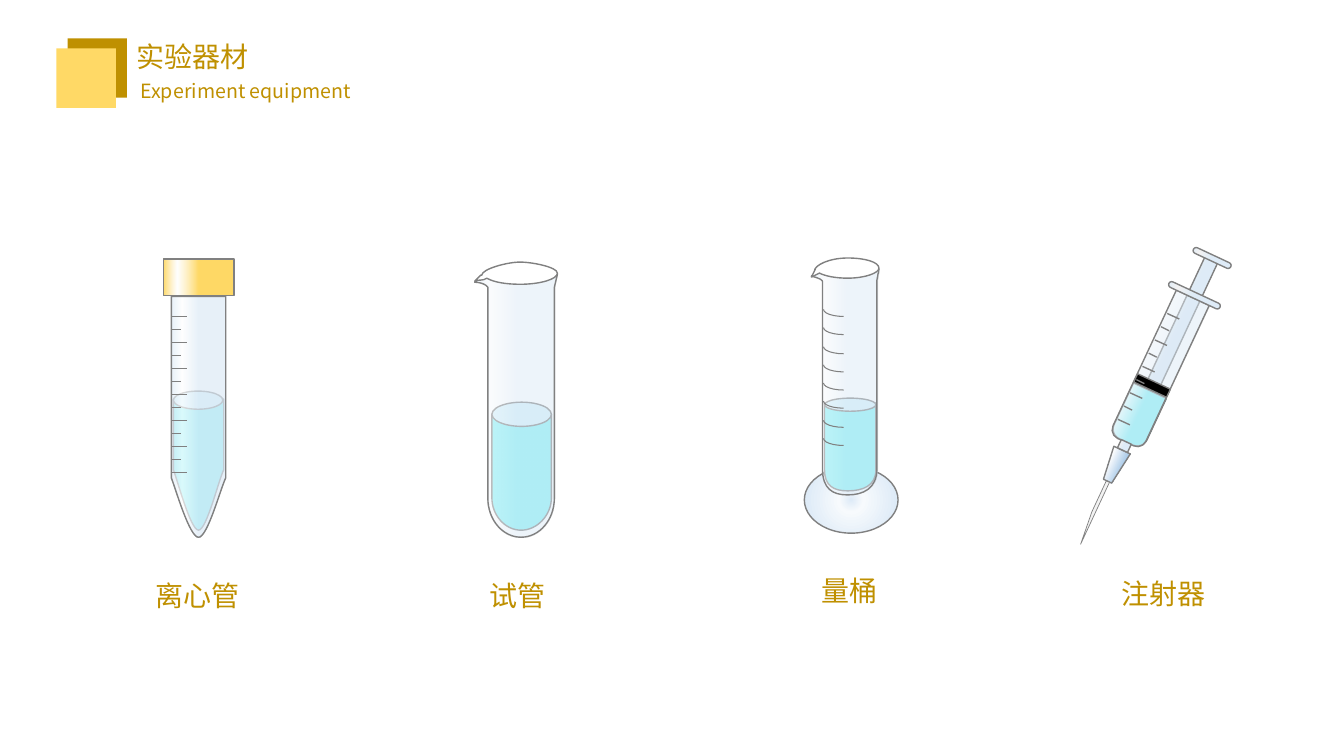
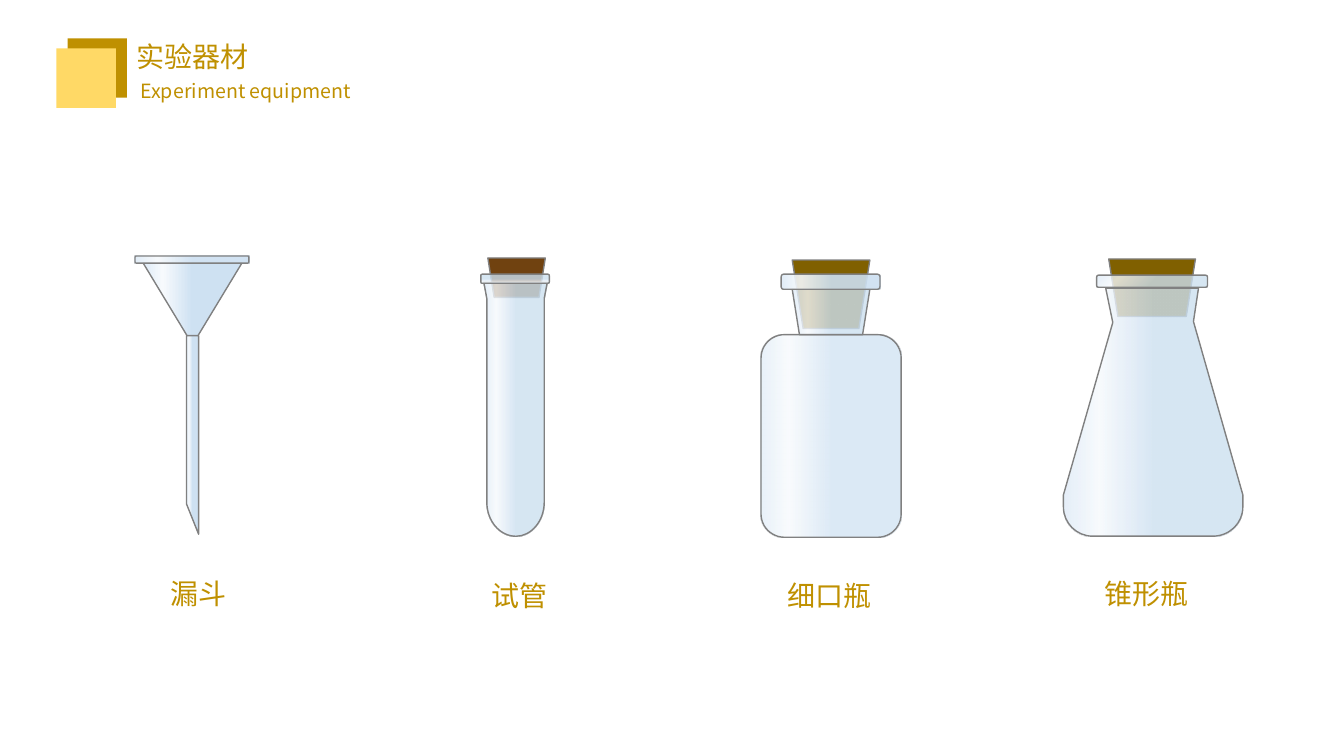
from dataclasses import dataclass

from lxml.etree import SubElement
from pptx import Presentation
from pptx.dml.color import RGBColor
from pptx.enum.shapes import MSO_CONNECTOR, MSO_SHAPE
from pptx.enum.text import MSO_AUTO_SIZE
from pptx.oxml.ns import qn
from pptx.util import Emu, Pt

PX = 9144  # 100 px to the inch
CJK_FONT = "Noto Sans CJK SC"
GOLD, YELLOW = "BF9000", "FFD966"
OUTLINE, WHITE, BLACK = "808080", "FFFFFF", "000000"
LIQUID, SURFACE = "83F0F5", "D5F1FB"
PALE, GLINT, GLASS, GREY = "DEEBF7", "F7FAFD", "CEE1F2", "F2F2F2"
NEEDLE_BLUE, RED_CORK, CORK = "5B9BD5", "704210", "806000"
TILT = 25


@dataclass
class Gradient:
    """Stops are (position, colour, opacity), the last two numbers in percent."""
    stops: list
    angle: int = 0
    radial: bool = False


def sheen(edge, glint, body, opacity=100, angle=0):
    """A highlight near the left edge of a round vessel."""
    colours = zip((0, 20, 50), (edge, glint, body))
    return Gradient([(at, colour, opacity) for at, colour in colours], angle)


def glass(opacity=100, angle=0):
    return sheen(PALE, GLINT, GLASS, opacity, angle)


THIN_GLASS = sheen(PALE, GLINT, PALE, 50)
PLASTIC = sheen(PALE, GREY, PALE)


def px(length):
    return Emu(round(length * PX))


def rgb(colour):
    return RGBColor.from_string(colour)


def paint_gradient(shape, gradient):
    shape.fill.gradient()
    fill = shape.element.spPr.find(qn("a:gradFill"))
    fill.clear()
    fill.set("rotWithShape", "1")
    stop_list = SubElement(fill, qn("a:gsLst"))
    for position, colour, opacity in gradient.stops:
        stop = SubElement(stop_list, qn("a:gs"), pos=str(position * 1000))
        tone = SubElement(stop, qn("a:srgbClr"), val=colour)
        if opacity < 100:
            SubElement(tone, qn("a:alpha"), val=str(opacity * 1000))
    if gradient.radial:
        circle = SubElement(fill, qn("a:path"), path="circle")
        SubElement(circle, qn("a:fillToRect"), l="50000", t="50000", r="50000", b="50000")
    else:
        SubElement(fill, qn("a:lin"), ang=str(gradient.angle * 60000), scaled="0")


def paint(shape, fill, line_width):
    shape.shadow.inherit = False
    if fill is None:
        shape.fill.background()
    elif isinstance(fill, Gradient):
        paint_gradient(shape, fill)
    else:
        shape.fill.solid()
        shape.fill.fore_color.rgb = rgb(fill)
    if line_width:
        shape.line.color.rgb = rgb(OUTLINE)
        shape.line.width = Pt(line_width)
    else:
        shape.line.fill.background()


def add_part(owner, kind, box, fill, rotation=0, flip="", adjust=(), line_width=1):
    """Adds a preset shape; flip holds H, V or both."""
    shape = owner.shapes.add_shape(kind, *map(px, box))
    shape.rotation = rotation
    for index, value in enumerate(adjust):
        shape.adjustments[index] = value
    for axis in flip:
        shape.element.spPr.get_or_add_xfrm().set("flip" + axis, "1")
    paint(shape, fill, line_width)
    return shape


def bend_lines(shape, segments):
    """Turns each three lines that stand for a six-number segment into a curve."""
    lines = iter(list(shape.element.iter(qn("a:lnTo"))))
    for segment in segments:
        first = next(lines)
        if len(segment) == 6:
            first.tag = qn("a:cubicBezTo")
            for line in (next(lines), next(lines)):
                first.append(line[0])
                line.getparent().remove(line)


def add_outline(owner, segments, fill):
    """Draws a closed outline: two numbers make a line, six a curve."""
    points = [(px(segment[i]), px(segment[i + 1]))
              for segment in segments for i in range(0, len(segment), 2)]
    builder = owner.shapes.build_freeform(*points[0], scale=1.0)
    builder.add_line_segments(points[1:], close=True)
    shape = builder.convert_to_shape()
    bend_lines(shape, segments[1:])
    paint(shape, fill, 1)


def add_ticks(owner, first, last, count, long, short, width):
    """Spreads ticks evenly from first to last, long and short in turn."""
    for index in range(count):
        share = index / (count - 1)
        x, y = (a + (b - a) * share for a, b in zip(first, last))
        dx, dy = short if index % 2 else long
        tick = owner.shapes.add_connector(
            MSO_CONNECTOR.STRAIGHT, px(x), px(y), px(x + dx), px(y + dy))
        tick.line.color.rgb = rgb(OUTLINE)
        tick.line.width = Pt(width)
        SubElement(tick.element.spPr, qn("a:effectLst"))


def add_text(page, text, box, size, font=CJK_FONT, wrap=True):
    frame = page.shapes.add_textbox(*map(px, box)).text_frame
    frame.word_wrap = wrap
    frame.auto_size = MSO_AUTO_SIZE.SHAPE_TO_FIT_TEXT
    span = frame.paragraphs[0].add_run()
    span.text = text
    span.font.size = Pt(size)
    span.font.name = font
    span.font.color.rgb = rgb(GOLD)
    SubElement(span.font._element, qn("a:ea"), typeface=CJK_FONT)


def add_caption(page, text, left, top):
    add_text(page, text, (left, top, 28 * len(text) + 20, 44), 20, wrap=False)


def add_heading(page):
    for left, top, colour in ((67, 38, GOLD), (56, 48, YELLOW)):
        add_part(page, MSO_SHAPE.RECTANGLE, (left, top, 59, 59), colour, line_width=0)
    add_text(page, "实验器材", (126, 34, 380, 44), 20, "Arial")
    add_text(page, " Experiment equipment", (125, 73, 258, 34), 14)


def draw_centrifuge_tube(group):
    add_outline(group, [(162, 257), (232, 257), (232, 293), (162, 293)],
                Gradient([(0, YELLOW, 100), (20, WHITE, 70), (50, YELLOW, 100)]))
    add_outline(group, [(172, 396), (222, 396), (222, 466),
                        (217, 476, 205, 526, 197, 526),
                        (189, 526, 176, 476, 172, 466)], LIQUID)
    add_part(group, MSO_SHAPE.OVAL, (172, 388, 49, 18), SURFACE)
    add_outline(group, [(170, 294), (224, 294), (224, 474),
                        (219, 484, 206, 533, 197, 533),
                        (188, 533, 174, 484, 170, 474)], sheen(PALE, WHITE, PALE, 70))
    add_ticks(group, (171, 314), (171, 469), 13, (15, 0), (9, 0), 0.75)


def draw_spouted_tube(group):
    add_outline(group, [(488, 411), (547, 411), (547, 494),
                        (547, 511, 533, 526, 517, 526),
                        (501, 526, 488, 511, 488, 494)], LIQUID)
    add_part(group, MSO_SHAPE.OVAL, (488, 399, 59, 24), SURFACE)
    add_outline(group, [(529, 272), (553, 272), (550, 285), (550, 494),
                        (550, 516, 535, 533, 517, 533),
                        (499, 533, 484, 516, 484, 494), (484, 285), (482, 283),
                        (479, 281, 475, 280, 471, 280),
                        (474, 277, 478, 275, 482, 273), (529, 273)], THIN_GLASS)
    add_outline(group, [(471, 279), (475, 277, 479, 279, 483, 276),
                        (490, 280, 502, 282, 516, 282),
                        (536, 282, 553, 277, 553, 271),
                        (553, 265, 528, 260, 516, 260),
                        (503, 260, 478, 267, 478, 273), (477, 273)], WHITE)


def draw_measuring_cylinder(group):
    foot = Gradient([(0, PALE, 100), (21, GLINT, 100), (80, PALE, 100)], radial=True)
    add_part(group, MSO_SHAPE.OVAL, (798, 463, 93, 66), foot)
    add_outline(group, [(818, 400), (869, 400), (869, 466),
                        (869, 482, 856, 487, 841, 487),
                        (827, 487, 818, 482, 818, 466)], LIQUID)
    add_part(group, MSO_SHAPE.OVAL, (818, 395, 51, 13), SURFACE)
    add_outline(group, [(852, 267), (872, 267), (870, 278), (870, 465),
                        (870, 485, 856, 491, 841, 491),
                        (826, 491, 816, 485, 816, 465), (816, 279), (814, 277),
                        (812, 276, 809, 275, 805, 274),
                        (808, 272, 812, 270, 815, 268), (853, 268)], THIN_GLASS)
    add_outline(group, [(805, 275), (813, 271), (819, 274, 829, 276, 841, 276),
                        (858, 276, 872, 271, 872, 266),
                        (872, 260, 858, 256, 841, 256),
                        (823, 256, 808, 263, 808, 269), (809, 267)], WHITE)
    for index in range(8):
        top = 300 + round(index * 128 / 7)
        add_part(group, MSO_SHAPE.ARC, (817, top, 40, 14), None, flip="HV", line_width=0.75)


def draw_syringe(group):
    barrel = Gradient([(0, PALE, 100), (20, WHITE, 50), (50, PALE, 50)])
    hub = Gradient([(2, NEEDLE_BLUE, 100), (33, WHITE, 100), (100, NEEDLE_BLUE, 100)])
    add_part(group, MSO_SHAPE.ROUND_2_SAME_RECTANGLE, (1111, 385, 36, 56),
             sheen(LIQUID, WHITE, LIQUID), TILT, adjust=(0, 0.29))
    add_part(group, MSO_SHAPE.RECTANGLE, (1166, 252, 14, 135), PLASTIC, TILT)
    add_part(group, MSO_SHAPE.ROUND_2_SAME_RECTANGLE, (1132, 288, 36, 158),
             barrel, TILT, adjust=(0, 0.26))
    add_part(group, MSO_SHAPE.DIAGONAL_STRIPE, (1083, 475, 7, 68), GREY, 19.1, line_width=0.5)
    add_part(group, MSO_SHAPE.TRAPEZOID, (1097, 445, 18, 34), hub, TILT, "V")
    add_part(group, MSO_SHAPE.RECTANGLE, (1110, 438, 11, 9), PLASTIC, TILT)
    add_part(group, MSO_SHAPE.RECTANGLE, (1125, 378, 36, 9), BLACK, TILT)
    add_part(group, MSO_SHAPE.ROUNDED_RECTANGLE, (1182, 253, 41, 6), PLASTIC, TILT, adjust=(0.5,))
    add_ticks(group, (1158, 311), (1109, 416), 9, (12, 5.5), (8, 4), 1)
    add_part(group, MSO_SHAPE.ROUNDED_RECTANGLE, (1157, 290, 56, 6), PLASTIC, TILT, adjust=(0.5,))


def draw_funnel(group):
    add_part(group, MSO_SHAPE.ISOSCELES_TRIANGLE, (142, 261, 98, 81), glass(), flip="V")
    add_outline(group, [(185, 333), (197, 333), (197, 530), (185, 500)], glass())
    add_part(group, MSO_SHAPE.ROUNDED_RECTANGLE, (134, 254, 113, 7), glass(90))


def draw_stopper(group, box, fill):
    add_part(group, MSO_SHAPE.TRAPEZOID, box, fill, flip="V", adjust=(0.16,))


def draw_stoppered_tube(group):
    draw_stopper(group, (484, 256, 57, 39), RED_CORK)
    add_outline(group, [(480, 280), (543, 280), (540, 296), (540, 498),
                        (540, 517, 527, 532, 512, 532),
                        (496, 532, 483, 517, 483, 498), (483, 296)], glass(80))
    add_part(group, MSO_SHAPE.ROUNDED_RECTANGLE, (477, 272, 68, 9), glass(80, 270))


def draw_narrow_bottle(group):
    draw_stopper(group, (786, 258, 77, 68), CORK)
    add_part(group, MSO_SHAPE.ROUNDED_RECTANGLE, (755, 332, 139, 201), glass(70))
    draw_stopper(group, (786, 287, 77, 45), glass(80))
    add_part(group, MSO_SHAPE.ROUNDED_RECTANGLE, (775, 272, 98, 15), glass(90))


def draw_conical_flask(group):
    draw_stopper(group, (1100, 257, 86, 57), CORK)
    add_outline(group, [(1097, 286), (1189, 286), (1184, 319), (1233, 491), (1233, 503),
                        (1233, 519, 1220, 532, 1203, 532), (1084, 532),
                        (1068, 532, 1055, 519, 1055, 503), (1055, 491), (1104, 320)],
                glass(80))
    add_part(group, MSO_SHAPE.ROUNDED_RECTANGLE, (1088, 273, 110, 12), glass(80, 45))


PAGES = [
    [("离心管", 144, 569, draw_centrifuge_tube), ("试管", 476, 569, draw_spouted_tube),
     ("量桶", 805, 564, draw_measuring_cylinder), ("注射器", 1103, 567, draw_syringe)],
    [("漏斗", 159, 567, draw_funnel), ("试管", 478, 569, draw_stoppered_tube),
     ("细口瓶", 771, 569, draw_narrow_bottle), ("锥形瓶", 1086, 567, draw_conical_flask)],
]


def main():
    deck = Presentation()
    deck.slide_width, deck.slide_height = px(4000 / 3), px(750)
    for equipment in PAGES:
        page = deck.slides.add_slide(deck.slide_layouts[6])
        add_heading(page)
        for name, left, top, draw in equipment:
            draw(page.shapes.add_group_shape())
            add_caption(page, name, left, top)
    deck.save("out.pptx")


if __name__ == "__main__":
    main()
